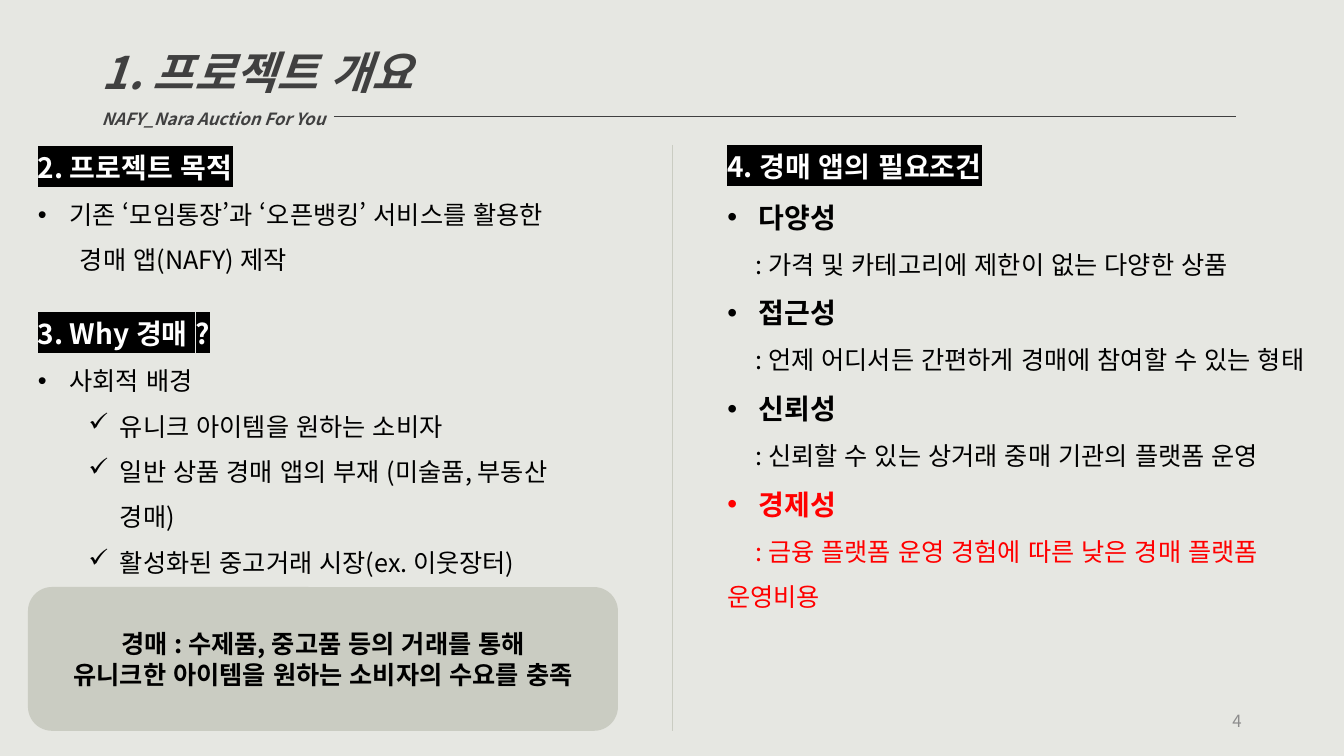
import pptx
import pptx.util
import pptx.dml.color
import pptx.enum.lang
import pptx.enum.shapes
import pptx.enum.text
import pptx.oxml.ns
from lxml import etree

Pt = pptx.util.Pt
qn = pptx.oxml.ns.qn
ALIGN = pptx.enum.text.PP_ALIGN
ANCHOR = pptx.enum.text.MSO_ANCHOR
FONT = "Noto Sans CJK KR"
COLORS = {
    "background": "E6E7E2", "panel": "CACCC2", "title": "404040", "black": "000000",
    "white": "FFFFFF", "red": "FF0000", "number": "8C8C8C",
}


def rgb(name):
    return pptx.dml.color.RGBColor.from_string(COLORS[name])


def write(shape, lines, anchor=ANCHOR.TOP):
    """Fill a shape with (text, style) lines."""
    frame = shape.text_frame
    frame.word_wrap = True
    frame.vertical_anchor = anchor
    for index, (text, style) in enumerate(lines):
        paragraph = frame.paragraphs[0] if index == 0 else frame.add_paragraph()
        paragraph.level = style.get("level", 0)
        paragraph.alignment = style.get("align", ALIGN.LEFT)
        paragraph.line_spacing = style.get("spacing", 1.5)
        paragraph.space_before = Pt(style.get("before", 0))
        properties = paragraph._p.get_or_add_pPr()
        properties.set("marL", str(Pt(style.get("margin", 0))))
        properties.set("indent", str(Pt(style.get("indent", 0))))
        if "bullet" in style:
            etree.SubElement(properties, qn("a:buFont"), typeface=style["bullet_font"])
            etree.SubElement(properties, qn("a:buChar"), char=style["bullet"])
        font = paragraph.font
        font.name = FONT
        font.size = Pt(style["size"])
        font.bold = style.get("bold", False)
        font.italic = style.get("italic", False)
        font.color.rgb = rgb(style.get("color", "black"))
        run = paragraph.add_run()
        run.text = text
        run.font.language_id = pptx.enum.lang.MSO_LANGUAGE_ID.KOREAN
        run_properties = run._r.get_or_add_rPr()
        if "highlight" in style:
            highlight = etree.SubElement(run_properties, qn("a:highlight"))
            etree.SubElement(highlight, qn("a:srgbClr"), val=COLORS[style["highlight"]])
        etree.SubElement(run_properties, qn("a:ea"), typeface=FONT)


presentation = pptx.Presentation()
presentation.slide_width = Pt(960)
presentation.slide_height = Pt(540)
slide = presentation.slides.add_slide(presentation.slide_layouts[6])
slide.background.fill.solid()
slide.background.fill.fore_color.rgb = rgb("background")

# Paragraph styles
heading = {"size": 20, "bold": True, "color": "white", "highlight": "black", "spacing": 1}
bullet = {"size": 18, "bullet": "•", "bullet_font": "Arial", "margin": 22.5, "indent": -22.5}
check = {"size": 18, "bullet": "ü", "bullet_font": "Wingdings", "level": 1,
         "margin": 58.5, "indent": -22.5}
topic = {**bullet, "size": 20, "bold": True}
detail = {"size": 18, "indent": 20}
title = {"size": 32, "bold": True, "italic": True, "color": "title"}
summary = {"size": 18, "bold": True, "align": ALIGN.CENTER, "spacing": 1}
page = {"size": 12, "color": "number", "align": ALIGN.RIGHT, "spacing": 1}

# Left column: purpose and background
write(slide.shapes.add_textbox(Pt(20), Pt(104), Pt(414), Pt(312.5)), [
    ("2. 프로젝트 목적", heading),
    ("기존 ‘모임통장’과 ‘오픈뱅킹’ 서비스를 활용한", bullet),
    ("경매 앱(NAFY) 제작", {"size": 18, "margin": 30}),
    ("3. Why 경매 ?", {**heading, "spacing": 1.5, "before": 18}),
    ("사회적 배경", bullet),
    ("유니크 아이템을 원하는 소비자", check),
    ("일반 상품 경매 앱의 부재 (미술품, 부동산 경매)", check),
    ("활성화된 중고거래 시장(ex. 이웃장터)", check),
])

# Title and subtitle
write(slide.shapes.add_textbox(Pt(65.5), Pt(9.5), Pt(385), Pt(88)), [
    ("1. 프로젝트 개요", title),
    ("NAFY_Nara Auction For You", {**title, "size": 12}),
])

# Summary panel
panel = slide.shapes.add_shape(
    pptx.enum.shapes.MSO_SHAPE.ROUNDED_RECTANGLE, Pt(20), Pt(419.3), Pt(421.4), Pt(102.7))
panel.shadow.inherit = False
panel.fill.solid()
panel.fill.fore_color.rgb = rgb("panel")
panel.line.fill.background()
write(panel, [
    ("경매 : 수제품, 중고품 등의 거래를 통해", summary),
    ("유니크한 아이템을 원하는 소비자의 수요를 충족", summary),
], ANCHOR.MIDDLE)

# Title rule and column divider
for x1, y1, x2, y2, color in [(238.5, 83, 883, 83, "title"), (480, 103.5, 480, 522, "panel")]:
    rule = slide.shapes.add_connector(
        pptx.enum.shapes.MSO_CONNECTOR.STRAIGHT, Pt(x1), Pt(y1), Pt(x2), Pt(y2))
    rule.line.color.rgb = rgb(color)
    rule.line.width = Pt(0.5)
    etree.SubElement(rule._element.spPr, qn("a:effectLst"))

# Right column: requirements, the last one in red
requirements = [
    ("다양성", "가격 및 카테고리에 제한이 없는 다양한 상품", "black"),
    ("접근성", "언제 어디서든 간편하게 경매에 참여할 수 있는 형태", "black"),
    ("신뢰성", "신뢰할 수 있는 상거래 중매 기관의 플랫폼 운영", "black"),
    ("경제성", "금융 플랫폼 운영 경험에 따른 낮은 경매 플랫폼 운영비용", "red"),
]
requirement_lines = [("4. 경매 앱의 필요조건", heading)]
for name, description, color in requirements:
    requirement_lines.append((name, {**topic, "color": color}))
    requirement_lines.append((f": {description}", {**detail, "color": color}))
write(slide.shapes.add_textbox(Pt(512.5), Pt(103.5), Pt(447.5), Pt(305)), requirement_lines)

# Page number
write(slide.shapes.add_textbox(Pt(678), Pt(500.5), Pt(216), Pt(29)), [("4", page)], ANCHOR.MIDDLE)

presentation.save("out.pptx")
